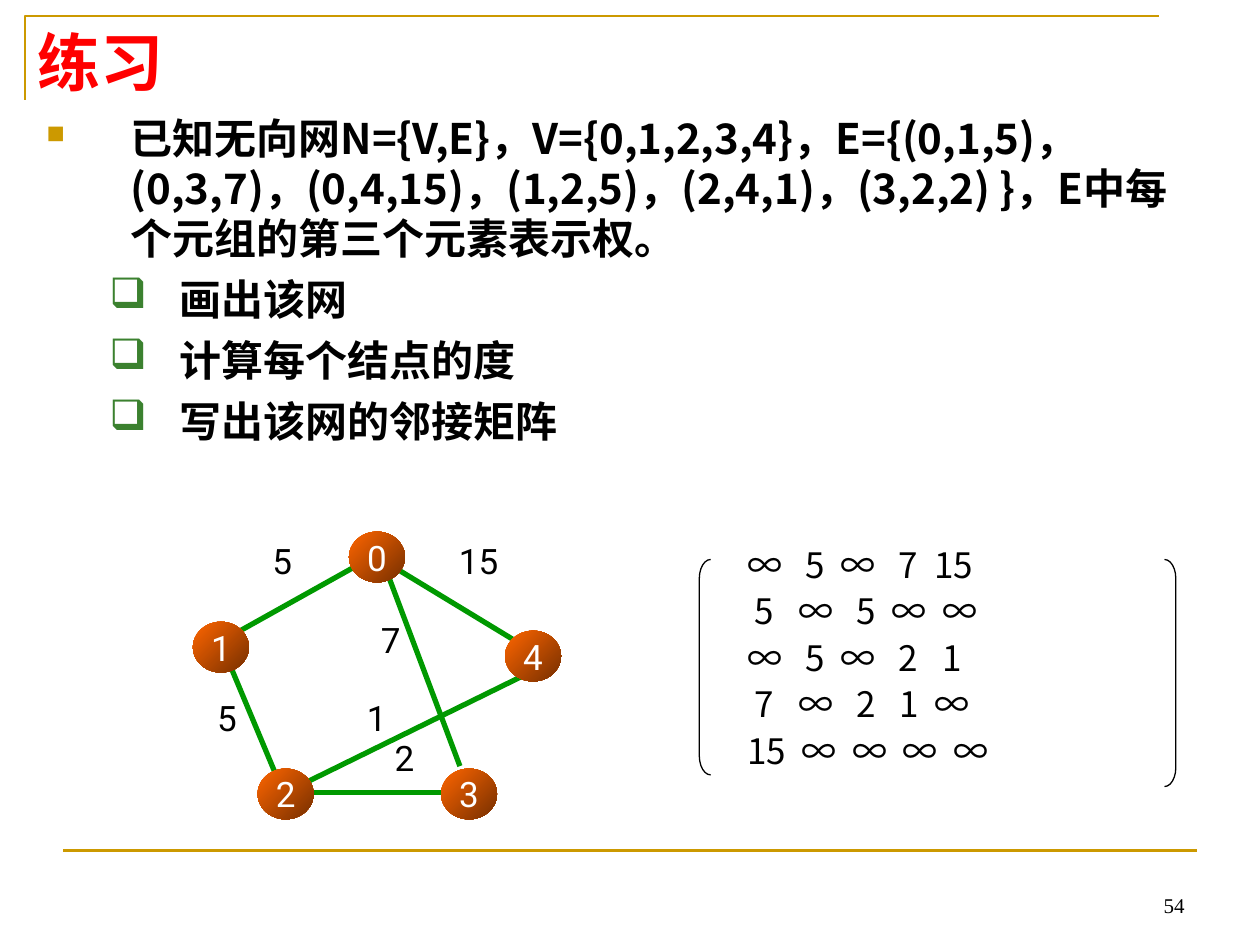
from typing import NamedTuple

from lxml.etree import SubElement
from pptx import Presentation
from pptx.dml.color import RGBColor
from pptx.enum.shapes import MSO_CONNECTOR as Connector, MSO_SHAPE as Shape
from pptx.enum.text import MSO_ANCHOR as Anchor, PP_ALIGN as Align
from pptx.oxml.ns import qn
from pptx.util import Pt

GOLD = RGBColor(0xCC, 0x99, 0x00)
RED = RGBColor(0xFF, 0x00, 0x00)
BLACK = RGBColor(0x00, 0x00, 0x00)
WHITE = RGBColor(0xFF, 0xFF, 0xFF)
EDGE_GREEN = RGBColor(0x00, 0x99, 0x00)
BULLET_GREEN = RGBColor(0x3B, 0x81, 0x2F)
NODE_ORANGE = RGBColor(0xFF, 0x66, 0x00)
NODE_BROWN = RGBColor(0x76, 0x2F, 0x00)

CJK, ROBOTO, TIMES = "Noto Sans CJK SC", "Roboto", "Times New Roman"
NODE_WIDTH, NODE_HEIGHT = 32, 29


class Label(NamedTuple):
    text: str
    left: float
    top: float
    width: float = 38.9


class Edge(NamedTuple):
    x1: float
    y1: float
    x2: float
    y2: float


class Bullet(NamedTuple):
    character: str
    color: RGBColor
    percent: int
    margin: float
    hanging: float


class Item(NamedTuple):
    text: str
    level: int
    bullet: Bullet


class MatrixRow(NamedTuple):
    values: str
    indent: float
    stops: tuple[float, ...]


SQUARE = Bullet("■", GOLD, 60, 48.2, 48.2)
BOX = Bullet("❑", BULLET_GREEN, 100, 76.3, 40.3)
ITEMS = [
    Item("已知无向网N={V,E}，V={0,1,2,3,4}，E={(0,1,5)，(0,3,7)，(0,4,15)，"
         "(1,2,5)，(2,4,1)，(3,2,2) }，E中每个元组的第三个元素表示权。", 0, SQUARE),
    Item("画出该网", 1, BOX),
    Item("计算每个结点的度", 1, BOX),
    Item("写出该网的邻接矩阵", 1, BOX),
]
EDGES = [
    Edge(293.8, 365.8, 226.1, 324.7),
    Edge(131.8, 380.9, 157.7, 442.8),
    Edge(210.2, 319.7, 136.8, 360.7),
    Edge(262.8, 437.8, 220.3, 324.7),
    Edge(252, 452.9, 173.5, 452.9),
    Edge(299.5, 385.9, 173.5, 447.8),
]
NODES = [
    Label("1", 110.2, 355.3),
    Label("3", 252, 439.2),
    Label("2", 147.2, 439.2),
    Label("4", 288.6, 360.4),
    Label("0", 199.4, 303.8),
]
WEIGHTS = [
    Label("5", 141.8, 304.6),
    Label("5", 110.2, 394.6),
    Label("15", 242.6, 304.6, 61.9),
    Label("1", 195.8, 394.6),
    Label("7", 203.8, 349.9),
    Label("2", 211.7, 417.6),
]
MATRIX = [
    MatrixRow("∞ 5 ∞ 7 15", 0, (33.4, 53.5, 86.8, 106.9)),
    MatrixRow("5 ∞ 5 ∞ ∞", 4.5, (24.6, 57.9, 78, 106.9)),
    MatrixRow("∞ 5 ∞ 2 1", 0, (33.4, 53.5, 86.8, 111.4)),
    MatrixRow("7 ∞ 2 1 ∞", 4.5, (24.6, 57.9, 82.5, 102.5)),
    MatrixRow("15 ∞ ∞ ∞ ∞", 0, (31.2, 60, 88.9, 117.8)),
]


def format_runs(paragraph, size: float, font: str, color: RGBColor,
                bold: bool = False, east_asian: str = "") -> None:
    for run in paragraph.runs:
        run.font.size = Pt(size)
        run.font.name = font
        run.font.bold = bold
        run.font.color.rgb = color
        if east_asian:
            run.font._element.find(qn("a:latin")).addnext(
                SubElement(run.font._element, qn("a:ea"), typeface=east_asian))


def add_text_box(slide, left: float, top: float, width: float, height: float):
    box = slide.shapes.add_textbox(Pt(left), Pt(top), Pt(width), Pt(height))
    box.text_frame.word_wrap = True
    return box.text_frame


def add_line(slide, edge: Edge, color: RGBColor, width: float) -> None:
    line = slide.shapes.add_connector(Connector.STRAIGHT, *map(Pt, edge))
    line.line.color.rgb = color
    line.line.width = Pt(width)
    SubElement(line._element.spPr, qn("a:effectLst"))


def add_frame(slide) -> None:
    builder = slide.shapes.build_freeform(Pt(14.4), Pt(57), 1.0)
    builder.add_line_segments([(Pt(14.4), Pt(9.2)), (Pt(662.4), Pt(9.2))], close=False)
    frame = builder.convert_to_shape()
    frame.shadow.inherit = False
    frame.fill.background()
    frame.line.color.rgb = GOLD
    frame.line.width = Pt(1.5)


def add_title(slide, text: str) -> None:
    title = slide.shapes.title
    title.left, title.top, title.width, title.height = map(Pt, (14.4, 9.4, 648, 51.1))
    title.text_frame.text = text
    title.text_frame.vertical_anchor = Anchor.MIDDLE
    paragraph = title.text_frame.paragraphs[0]
    paragraph.alignment = Align.LEFT
    format_runs(paragraph, 36, TIMES, RED, True, CJK)


def set_bullet(paragraph, bullet: Bullet) -> None:
    properties = paragraph._p.get_or_add_pPr()
    properties.set("marL", str(Pt(bullet.margin)))
    properties.set("indent", str(-Pt(bullet.hanging)))
    color = SubElement(properties, qn("a:buClr"))
    SubElement(color, qn("a:srgbClr"), val=str(bullet.color))
    SubElement(properties, qn("a:buSzPct"), val=str(bullet.percent * 1000))
    SubElement(properties, qn("a:buChar"), char=bullet.character)


def add_exercise(slide) -> None:
    frame = add_text_box(slide, 19.4, 60.5, 674.6, 221)
    frame.text = "\n".join(item.text for item in ITEMS)
    for index, (paragraph, item) in enumerate(zip(frame.paragraphs, ITEMS)):
        set_bullet(paragraph, item.bullet)
        paragraph.level = item.level
        paragraph.space_before = Pt(6 if index else 0)
        format_runs(paragraph, 24, CJK, BLACK, True, CJK)


def add_node(slide, node: Label) -> None:
    shape = slide.shapes.add_shape(
        Shape.OVAL, Pt(node.left), Pt(node.top), Pt(NODE_WIDTH), Pt(NODE_HEIGHT))
    shape.shadow.inherit = False
    shape.line.fill.background()
    shape.fill.gradient()
    shape.fill.gradient_angle = 315
    for stop, color in zip(shape.fill.gradient_stops, (NODE_ORANGE, NODE_BROWN)):
        stop.color.rgb = color
    frame = shape.text_frame
    frame.text = node.text
    frame.word_wrap = False
    frame.margin_left = frame.margin_right = 0
    frame.vertical_anchor = Anchor.MIDDLE
    frame.paragraphs[0].alignment = Align.CENTER
    format_runs(frame.paragraphs[0], 20, ROBOTO, WHITE)


def add_weight(slide, weight: Label) -> None:
    frame = add_text_box(slide, weight.left, weight.top, weight.width, 31.7)
    frame.text = weight.text
    frame.paragraphs[0].alignment = Align.CENTER
    format_runs(frame.paragraphs[0], 20, ROBOTO, BLACK)


def add_bracket(slide, kind: Shape, left: float, height: float) -> None:
    bracket = slide.shapes.add_shape(kind, Pt(left), Pt(319.7), Pt(6.5), Pt(height))
    bracket.adjustments[0] = 1.67
    bracket.shadow.inherit = False
    bracket.fill.background()
    bracket.line.color.rgb = BLACK
    bracket.line.width = Pt(0.75)


def add_matrix(slide) -> None:
    add_bracket(slide, Shape.LEFT_BRACKET, 399.6, 123.1)
    add_bracket(slide, Shape.RIGHT_BRACKET, 665.4, 129.8)
    frame = add_text_box(slide, 419.8, 309.6, 239, 135.4)
    frame.text = "\n".join("\t".join(row.values.split()) for row in MATRIX)
    for index, (paragraph, row) in enumerate(zip(frame.paragraphs, MATRIX)):
        paragraph.line_spacing = 0.9
        paragraph.space_before = Pt(5 if index else 0)
        properties = paragraph._p.get_or_add_pPr()
        properties.set("marL", str(Pt(row.indent)))
        tabs = SubElement(properties, qn("a:tabLst"))
        for stop in row.stops:
            SubElement(tabs, qn("a:tab"), pos=str(Pt(stop)), algn="l")
        format_runs(paragraph, 20, CJK, BLACK, east_asian=CJK)


def add_page_number(slide, number: str) -> None:
    frame = add_text_box(slide, 516.2, 491.8, 167.8, 36)
    frame.text = number
    frame.vertical_anchor = Anchor.BOTTOM
    frame.paragraphs[0].alignment = Align.RIGHT
    format_runs(frame.paragraphs[0], 12, TIMES, BLACK)


def main() -> None:
    presentation = Presentation()
    presentation.slide_width, presentation.slide_height = Pt(720), Pt(540)
    slide = presentation.slides.add_slide(presentation.slide_layouts[5])
    add_frame(slide)
    add_line(slide, Edge(36, 486, 684, 486), GOLD, 1.5)
    add_page_number(slide, "54")
    add_exercise(slide)
    add_title(slide, "练习")
    for edge in EDGES:
        add_line(slide, edge, EDGE_GREEN, 3)
    for node in NODES:
        add_node(slide, node)
    for weight in WEIGHTS:
        add_weight(slide, weight)
    add_matrix(slide)
    presentation.save("out.pptx")


if __name__ == "__main__":
    main()
